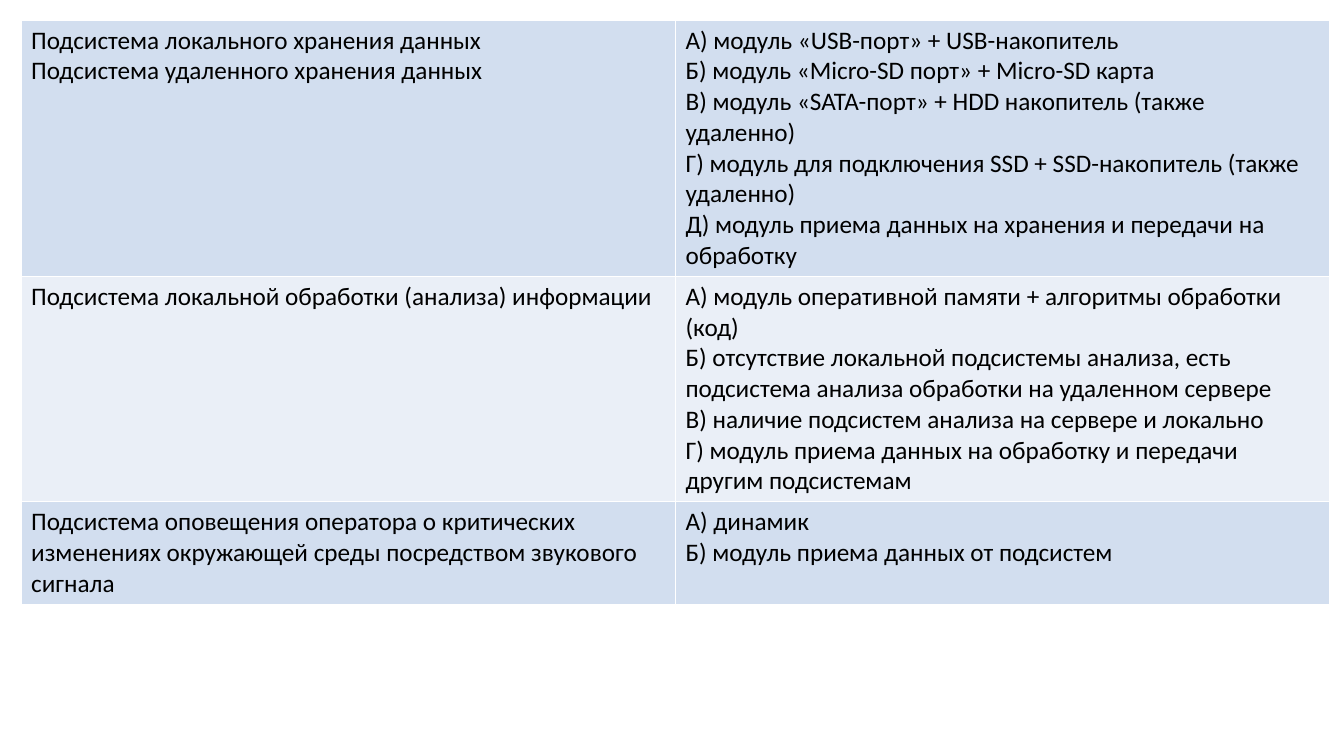
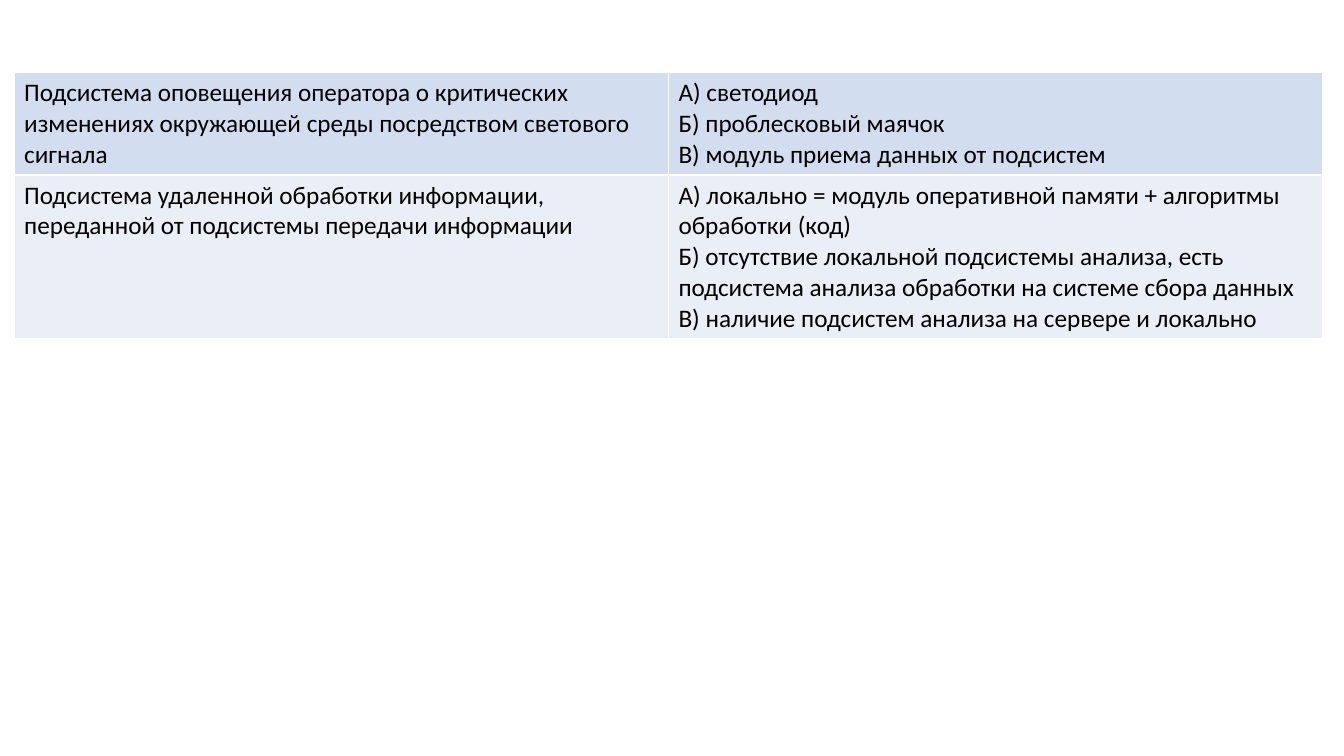
import pptx
import pptx.util
import pptx.dml.color
import pptx.oxml
import pptx.oxml.ns

# Each row: height in px, subsystems, options
TABLES = [
    {"left": 21, "top": 20, "rows": [
        (250,
         ["Подсистема локального хранения данных",
          "Подсистема удаленного хранения данных"],
         ["А) модуль «USB-порт» + USB-накопитель",
          "Б) модуль «Micro-SD порт» + Micro-SD карта",
          "В) модуль «SATA-порт» + HDD накопитель (также удаленно)",
          "Г) модуль для подключения SSD + SSD-накопитель (также удаленно)",
          "Д) модуль приема данных на хранения и передачи на обработку"]),
        (220,
         ["Подсистема локальной обработки (анализа) информации"],
         ["А) модуль оперативной памяти + алгоритмы обработки (код)",
          "Б) отсутствие локальной подсистемы анализа, есть подсистема "
          "анализа обработки на удаленном сервере",
          "В) наличие подсистем анализа на сервере и локально",
          "Г) модуль приема данных на обработку и передачи другим подсистемам"]),
        (100,
         ["Подсистема оповещения оператора о критических изменениях "
          "окружающей среды посредством звукового сигнала"],
         ["А) динамик",
          "Б) модуль приема данных от подсистем"]),
    ]},
    {"left": 14, "top": 72, "rows": [
        (100,
         ["Подсистема оповещения оператора о критических изменениях "
          "окружающей среды посредством светового сигнала"],
         ["А) светодиод",
          "Б) проблесковый маячок",
          "В) модуль приема данных от подсистем"]),
        (160,
         ["Подсистема удаленной обработки информации, переданной от "
          "подсистемы передачи информации"],
         ["А) локально = модуль оперативной памяти + алгоритмы обработки (код)",
          "Б) отсутствие локальной подсистемы анализа, есть подсистема "
          "анализа обработки на системе сбора данных",
          "В) наличие подсистем анализа на сервере и локально"]),
    ]},
]

SLIDE_WIDTH, SLIDE_HEIGHT = 1333, 750
COLUMN_WIDTH = 649
BAND_FILLS = ("D2DEEF", "EAEFF7")
BORDER_COLOR = "FFFFFF"
TEXT_COLOR = "000000"
TEXT_FORMAT = {"name": "Calibri", "size": pptx.util.Pt(18), "bold": False}
BLANK_LAYOUT = 6


def px(length):
    """Convert px, 100 to the inch, to EMU."""
    return pptx.util.Emu(length * 9144)


def rgb(color):
    return pptx.dml.color.RGBColor.from_string(color)


def add_borders(cell):
    """Draw 1 pt lines on all four sides; they must come before the fill."""
    properties = cell._tc.get_or_add_tcPr()
    for position, side in enumerate(("lnL", "lnR", "lnT", "lnB")):
        line = pptx.oxml.parse_xml(
            f'<a:{side} {pptx.oxml.ns.nsdecls("a")} w="{pptx.util.Pt(1)}">'
            f'<a:solidFill><a:srgbClr val="{BORDER_COLOR}"/></a:solidFill>'
            f'</a:{side}>')
        properties.insert(position, line)


def fill_cell(cell, lines, color):
    cell.fill.solid()
    cell.fill.fore_color.rgb = rgb(color)
    add_borders(cell)
    cell.text = "\n".join(lines)
    for para in cell.text_frame.paragraphs:
        for span in para.runs:
            for name, value in TEXT_FORMAT.items():
                setattr(span.font, name, value)
            span.font.color.rgb = rgb(TEXT_COLOR)


def add_subsystem_table(page, left, top, rows):
    height = sum(row[0] for row in rows)
    table = page.shapes.add_table(
        len(rows), 2, px(left), px(top), px(2 * COLUMN_WIDTH), px(height)).table
    table.first_row = False
    for column in table.columns:
        column.width = px(COLUMN_WIDTH)
    for index, (row_height, *texts) in enumerate(rows):
        table.rows[index].height = px(row_height)
        color = BAND_FILLS[index % len(BAND_FILLS)]
        for column, lines in enumerate(texts):
            fill_cell(table.cell(index, column), lines, color)


def main():
    deck = pptx.Presentation()
    deck.slide_width, deck.slide_height = px(SLIDE_WIDTH), px(SLIDE_HEIGHT)
    for content in TABLES:
        page = deck.slides.add_slide(deck.slide_layouts[BLANK_LAYOUT])
        add_subsystem_table(page, **content)
    deck.save("out.pptx")


if __name__ == "__main__":
    main()
